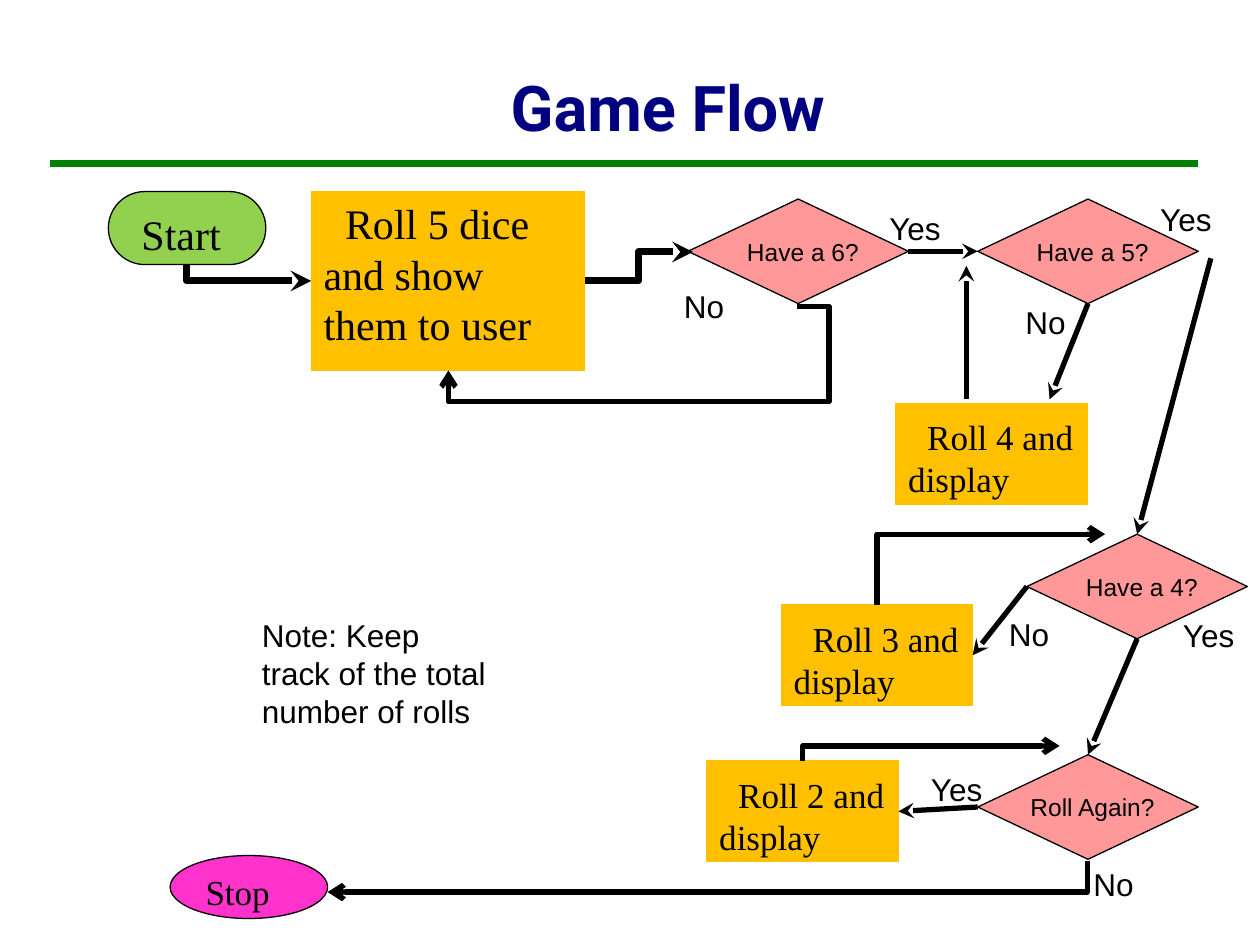
from lxml import etree
from pptx import Presentation
from pptx.dml.color import RGBColor
from pptx.enum.shapes import MSO_CONNECTOR as Link, MSO_SHAPE as Shape
from pptx.enum.text import MSO_ANCHOR as Anchor, MSO_AUTO_SIZE as AutoSize, PP_ALIGN as Align
from pptx.oxml.ns import qn
from pptx.util import Inches, Pt

SERIF, SANS = "Times New Roman", "Arial"
BLACK, GOLD, PINK = "000000", "FFC000", "FF9999"
TOP, LEFT, BOTTOM, RIGHT = range(4)


def paint(color_format, color):
    color_format.rgb = RGBColor.from_string(color)


def write(frame, text, size=18, font=SANS, color=BLACK, bold=False,
          align=Align.LEFT, anchor=Anchor.TOP, indent=0, top=0.05):
    frame.word_wrap = True
    frame.vertical_anchor = anchor
    frame.margin_left = frame.margin_right = Inches(0.1)
    frame.margin_top, frame.margin_bottom = Inches(top), Inches(0.05)
    paragraph = frame.paragraphs[0]
    paragraph.alignment = align
    if indent:
        paragraph._p.get_or_add_pPr().set("indent", str(Inches(indent)))
    run = paragraph.add_run()
    run.text = text
    run.font.size, run.font.name, run.font.bold = Pt(size), font, bold
    paint(run.font.color, color)


def add_node(parent, kind, box, fill, outline=BLACK):
    node = parent.shapes.add_shape(kind, *map(Inches, box))
    node.shadow.inherit = False
    node.fill.solid()
    paint(node.fill.fore_color, fill)
    paint(node.line.color, outline)
    node.line.width = Pt(0.75)
    return node


def add_label(parent, text, box, size=18):
    label = parent.shapes.add_textbox(*map(Inches, box))
    write(label.text_frame, text, size)
    label.text_frame.auto_size = AutoSize.SHAPE_TO_FIT_TEXT


def add_decision(slide, text, left, top, text_offset=0.37):
    group = slide.shapes.add_group_shape()
    diamond = add_node(group, Shape.FLOWCHART_DECISION, (left, top, 1.75, 0.83), PINK)
    add_label(group, text, (left + text_offset, top + 0.25, 1.27, 0.34), 14)
    return diamond


def add_roll(slide, text, left, top):
    roll = add_node(slide, Shape.RECTANGLE, (left, top, 1.52, 0.8), GOLD, GOLD)
    write(roll.text_frame, text, 20, SERIF, indent=0.15, top=0.1)
    return roll


def add_line(slide, start, end, kind=Link.STRAIGHT, width=3, color=BLACK, head="stealth"):
    line = slide.shapes.add_connector(kind, *map(Inches, (*start, *end)))
    paint(line.line.color, color)
    line.line.width = Pt(width)
    if head:
        etree.SubElement(line.line._get_or_add_ln(), qn("a:tailEnd"), type=head)
    etree.SubElement(line._element.spPr, qn("a:effectLst"))
    return line


def add_corner(slide, start, end, width=3, head="arrow"):
    """Arrow that runs vertically first, then turns once."""
    line = add_line(slide, start, end, Link.ELBOW, width, head=head)
    (x1, y1), (x2, y2) = start, end
    across, down = abs(x2 - x1), abs(y2 - y1)
    to_right, upward = x2 > x1, y2 < y1
    line.left = Inches((x1 + x2 - down) / 2)
    line.top = Inches((y1 + y2 - across) / 2)
    line.width, line.height = Inches(down), Inches(across)
    line._element.spPr.find(qn("a:prstGeom")).set("prst", "bentConnector2")
    frame = line._element.spPr.find(qn("a:xfrm"))
    frame.set("rot", str((270 if to_right and not upward else 90) * 60000))
    frame.set("flipH", str(int(to_right)))
    frame.set("flipV", str(int(to_right and upward)))


def add_loop(slide, start, end, adjustments):
    """Arrow that leaves sideways, passes below its end and comes back up."""
    line = add_line(slide, start, end, Link.ELBOW, head="arrow")
    geometry = line._element.spPr.find(qn("a:prstGeom"))
    geometry.set("prst", "bentConnector4")
    guides = geometry.find(qn("a:avLst"))
    if guides is None:
        guides = etree.SubElement(geometry, qn("a:avLst"))
    for number, share in enumerate(adjustments, 1):
        etree.SubElement(guides, qn("a:gd"), name=f"adj{number}",
                         fmla=f"val {round(share * 100000)}")


def draw_heading(slide, box):
    title = slide.shapes.title
    title.left, title.top, title.width, title.height = map(Inches, box)
    write(title.text_frame, "Game Flow", 36, "Roboto", "000080", True,
          Align.CENTER, Anchor.BOTTOM)
    add_line(slide, (0.4, 1.3), (9.51, 1.3), width=4, color="008000", head=None)


def draw_opening(slide, box):
    """Start and the first roll, side by side in the box."""
    left, top, width, height = box
    start = add_node(slide, Shape.ROUNDED_RECTANGLE, (left, top, 1.25, 0.58), "92D050")
    start.adjustments[0] = 0.5
    write(start.text_frame, "Start", 24, SERIF, indent=0.08)
    first_left = left + width - 2.17
    first_roll = add_node(slide, Shape.RECTANGLE, (first_left, top, 2.17, height), GOLD, GOLD)
    write(first_roll.text_frame, "Roll 5 dice and show them to user", 24, SERIF, indent=0.17)
    add_corner(slide, (left + 0.62, top + 0.58), (first_left, top + height / 2), 4, "stealth")


def draw_checks(slide):
    """Decisions, rerolls and the arrows among them."""
    six = add_decision(slide, "Have a 6?", 5.46, 1.58)
    five = add_decision(slide, "Have a 5?", 7.76, 1.58)
    four = add_decision(slide, "Have a 4?", 8.15, 4.24)
    again = add_decision(slide, "Roll Again?", 7.76, 5.99, 0.32)
    add_roll(slide, "Roll 4 and display", 7.11, 3.2)
    roll_three = add_roll(slide, "Roll 3 and display", 6.2, 4.8)
    roll_two = add_roll(slide, "Roll 2 and display", 5.61, 6.04)

    # Straight arrows, joined where they meet the middle of a side
    joins = [
        ((7.21, 2), (7.76, 2), (six, RIGHT), (five, LEFT)),
        ((9.61, 2.05), (9.03, 4.24), None, (four, TOP)),
        ((8.63, 2.41), (8.33, 3.17), (five, BOTTOM), None),
        ((7.67, 3.17), (7.67, 2.11), None, None),
        ((8.15, 4.66), (7.72, 5.2), (four, LEFT), (roll_three, RIGHT)),
        ((9.03, 5.07), (8.63, 5.99), (four, BOTTOM), (again, TOP)),
        ((7.76, 6.41), (7.13, 6.44), (again, LEFT), (roll_two, RIGHT)),
    ]
    for start, end, source, target in joins:
        arrow = add_line(slide, start, end)
        if source:
            arrow.begin_connect(*source)
        if target:
            arrow.end_connect(*target)

    # Bent arrows
    add_line(slide, (4.64, 2.23), (5.5, 2), Link.ELBOW, 4)
    add_loop(slide, (6.33, 2.43), (3.56, 2.94), (-0.09, 1.49))
    add_corner(slide, (6.96, 4.8), (8.77, 4.24))
    add_corner(slide, (6.37, 6.04), (8.41, 5.92))

    # Answers
    for left, top in [(6.96, 1.61), (9.11, 1.54), (9.29, 4.84), (7.29, 6.06)]:
        add_label(slide, "Yes", (left, top, 1, 0.5))
    for left, top in [(5.33, 2.23), (8.04, 2.36), (7.91, 4.83), (8.58, 6.82)]:
        add_label(slide, "No", (left, top, 1, 0.4))


def draw_ending(slide, box):
    left, top, width, height = box
    stop = add_node(slide, Shape.OVAL, box, "FF33CC")
    write(stop.text_frame, "Stop", 20, SERIF)
    add_corner(slide, (8.63, 6.83), (left + width, 7.08))


def main():
    deck = Presentation()
    deck.slide_width, deck.slide_height = Inches(10), Inches(7.5)
    slide = deck.slides.add_slide(deck.slide_layouts[5])
    draw_heading(slide, (1.72, 0.45, 7.16, 0.74))
    draw_opening(slide, (0.86, 1.52, 3.78, 1.42))
    draw_checks(slide)
    draw_ending(slide, (1.35, 6.79, 1.25, 0.5))
    add_label(slide, "Note: Keep track of the total number of rolls", (1.98, 4.84, 2, 1.01))
    deck.save("out.pptx")


if __name__ == "__main__":
    main()
